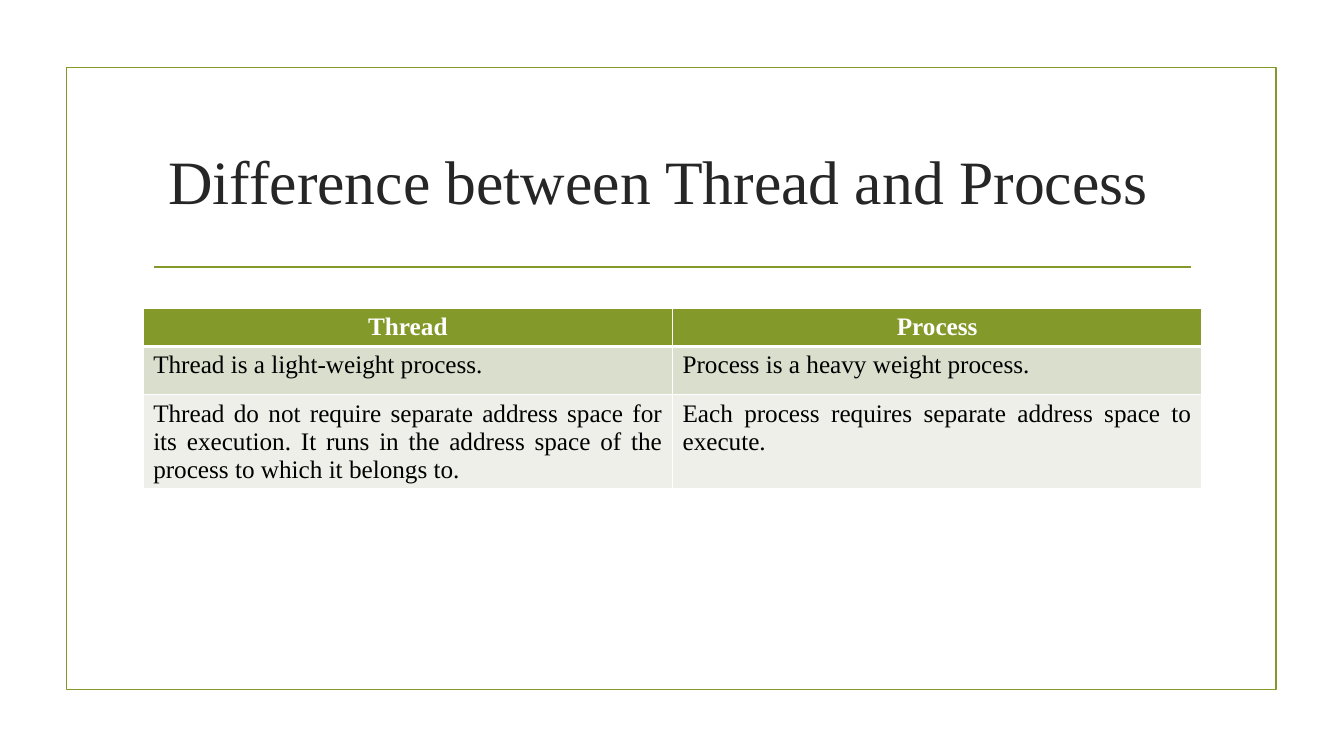
"""Build a slide that compares threads with processes in a table."""
from dataclasses import dataclass

from lxml import etree
from pptx import Presentation
from pptx.dml.color import RGBColor
from pptx.enum.shapes import MSO_CONNECTOR, MSO_SHAPE
from pptx.enum.text import MSO_ANCHOR, PP_ALIGN
from pptx.oxml.ns import qn
from pptx.slide import Slide
from pptx.table import _Cell
from pptx.text.text import TextFrame
from pptx.util import Inches, Pt

LINE = MSO_CONNECTOR.STRAIGHT
RECT = MSO_SHAPE.RECTANGLE
MIDDLE = MSO_ANCHOR.MIDDLE
CENTER = PP_ALIGN.CENTER
JUSTIFY = PP_ALIGN.JUSTIFY

GREEN = RGBColor(0x83, 0x99, 0x2A)
SAGE = RGBColor(0xD9, 0xDE, 0xCD)
PALE = RGBColor(0xED, 0xEF, 0xE8)
DARK = RGBColor(0x26, 0x26, 0x26)
BLACK = RGBColor(0, 0, 0)
WHITE = RGBColor(255, 255, 255)

FONT = "Times New Roman"
LEFT, WIDTH = 1.42, 10.5


@dataclass(frozen=True)
class Style:
    size: int
    color: RGBColor
    align: PP_ALIGN
    bold: bool = False


@dataclass(frozen=True)
class Row:
    texts: tuple[str, str]
    height: float
    fill: RGBColor
    style: Style
    top: int = 1
    bottom: int = 1


TITLE = Style(44, DARK, CENTER)
HEAD = Style(18, WHITE, CENTER, True)
BODY = Style(18, BLACK, JUSTIFY)

ROWS = [
    Row(("Thread", "Process"), 0.37, GREEN, HEAD, bottom=3),
    Row(("Thread is a light-weight process.",
         "Process is a heavy weight process."), 0.48, SAGE, BODY, top=3),
    Row(("Thread do not require separate address space for its execution. "
         "It runs in the address space of the process to which it belongs to.",
         "Each process requires separate address space to execute."),
        0.92, PALE, BODY),
]


def write(frame: TextFrame, text: str, style: Style) -> None:
    frame.text = text
    for para in frame.paragraphs:
        para.alignment = style.align
        for run in para.runs:
            font = run.font
            font.name, font.size, font.bold = FONT, Pt(style.size), style.bold
            font.color.rgb = style.color


def edge(cell: _Cell, widths: dict[str, int]) -> None:
    props = cell._tc.get_or_add_tcPr()
    for spot, (side, width) in enumerate(widths.items()):
        line = etree.Element(qn(f"a:ln{side}"), w=str(Pt(width)))
        fill = etree.SubElement(line, qn("a:solidFill"))
        etree.SubElement(fill, qn("a:srgbClr"), val=str(WHITE))
        props.insert(spot, line)


def add_frame(slide: Slide) -> None:
    box = slide.shapes.add_shape(
        RECT, Inches(0.66), Inches(0.67), Inches(12), Inches(6.17))
    box.shadow.inherit = False
    box.fill.background()
    rule = slide.shapes.add_connector(
        LINE, Inches(1.53), Inches(2.65), Inches(11.81), Inches(2.65))
    etree.SubElement(rule._element.spPr, qn("a:effectLst"))
    for shape in (box, rule):
        shape.line.color.rgb = GREEN
        shape.line.width = Pt(1.25)


def add_title(slide: Slide) -> None:
    title = slide.shapes.title
    title.left, title.top = Inches(LEFT), Inches(1.07)
    title.width, title.height = Inches(WIDTH), Inches(1.43)
    title.text_frame.vertical_anchor = MIDDLE
    write(title.text_frame, "Difference between Thread and Process\t", TITLE)


def add_grid(slide: Slide) -> None:
    height = sum(row.height for row in ROWS)
    table = slide.shapes.add_table(
        len(ROWS), 2, Inches(LEFT), Inches(3.06),
        Inches(WIDTH), Inches(height)).table
    for line, row in zip(table.rows, ROWS):
        line.height = Inches(row.height)
        for cell, text in zip(line.cells, row.texts):
            cell.fill.solid()
            cell.fill.fore_color.rgb = row.fill
            write(cell.text_frame, text, row.style)
            edge(cell, {"L": 1, "R": 1, "T": row.top, "B": row.bottom})


def main() -> None:
    deck = Presentation()
    deck.slide_width, deck.slide_height = Inches(13.33), Inches(7.5)
    slide = deck.slides.add_slide(deck.slide_layouts[5])
    add_frame(slide)
    add_title(slide)
    add_grid(slide)
    deck.save("out.pptx")


if __name__ == "__main__":
    main()
